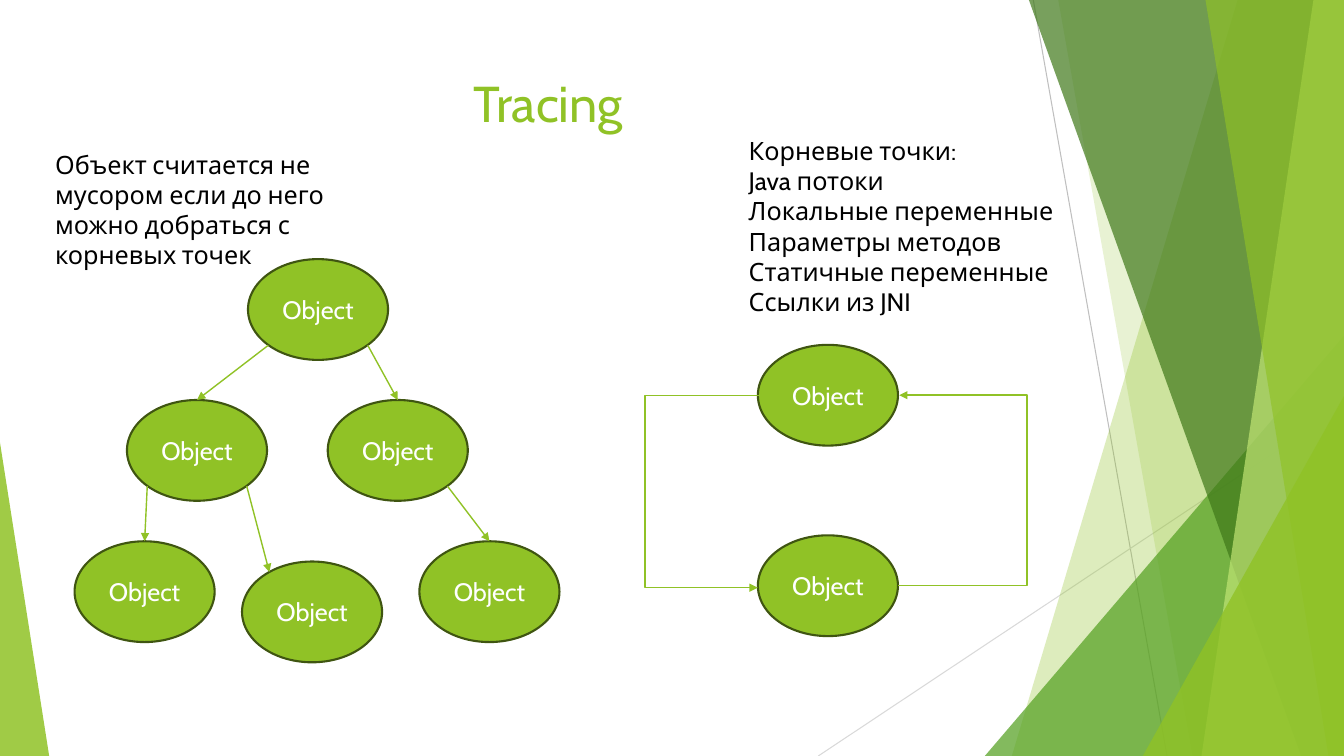
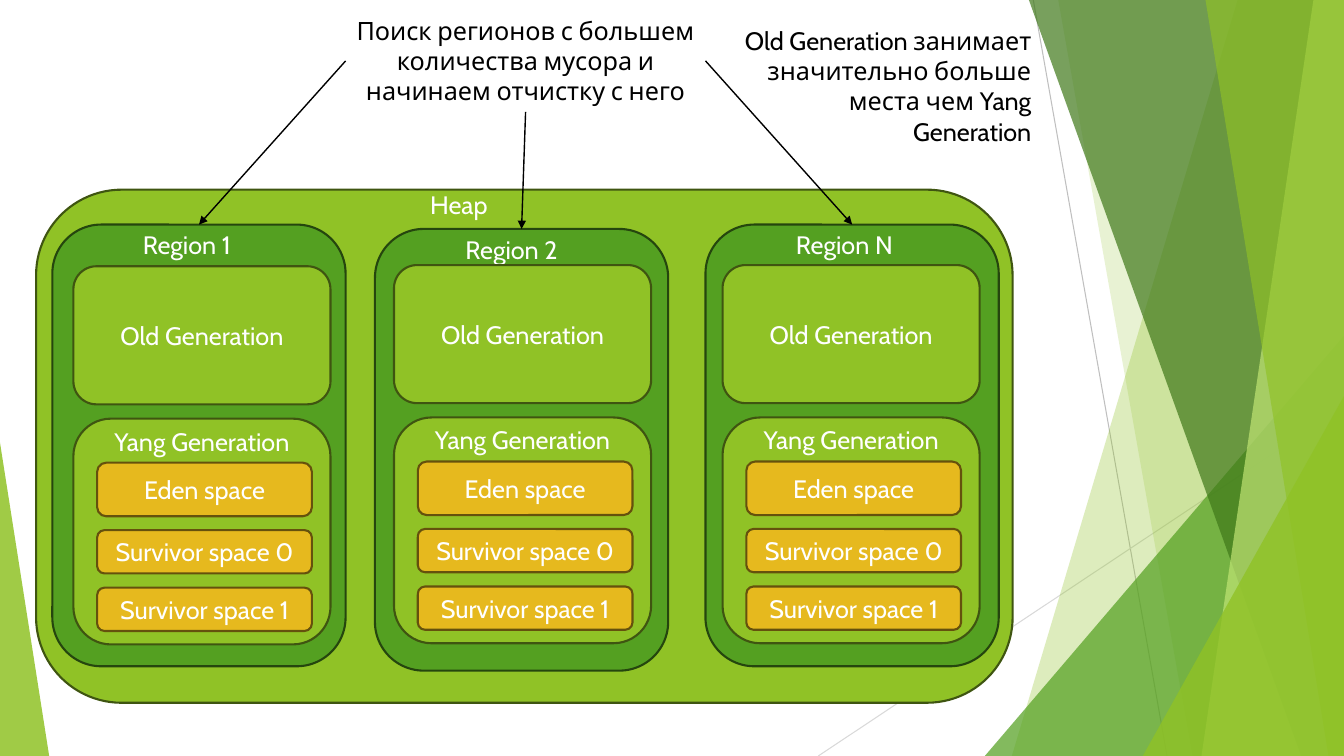
from lxml.etree import SubElement
from pptx import Presentation
from pptx.dml.color import RGBColor
from pptx.enum.shapes import MSO_CONNECTOR, MSO_SHAPE
from pptx.enum.text import PP_ALIGN
from pptx.oxml.ns import qn
from pptx.util import Cm, Pt

# Shared look, lengths in centimetres
WIDTH, HEIGHT = 33.87, 19.05
FONT = "Cabin"
LIME, GREEN, GOLD = "90C226", "54A021", "E6B91E"
BLACK, WHITE = "000000", "FFFFFF"
OUTLINE = {LIME: "3F5511", GREEN: "25460E", GOLD: "65510D"}

HAIRLINES = [
    ((26.04, 0), (29.41, HEIGHT), "BFBFBF"),
    ((WIDTH, 10.24), (20.62, HEIGHT), "D9D9D9"),
]
# ("band", x at top, x at bottom) reaches the right edge;
# ("corner", left, top, width, apex) stands on the bottom edge
DECOR = [
    (("band", 31.19, 25.5), LIME, 30),
    (("band", 26.67, 30.05), LIME, 20),
    (("corner", 24.82, 8.46, 9.05, 1), GREEN, 72),
    (("band", 25.93, 32.79), "3F7819", 70),
    (("band", 33.1, 30.28), "C0E474", 70),
    (("band", 30.38, 33.48), LIME, 65),
    (("corner", 28.8, 9.98, 5.07, 1), LIME, 80),
    (("corner", 0, 11.15, 1.24, 0), LIME, 85),
]

# Slide 1: object graph
TITLE = "Tracing"
REACHABLE = ["Объект считается не мусором если до него можно добраться с корневых точек"]
ROOTS = [
    "Корневые точки:",
    "Java потоки",
    "Локальные переменные",
    "Параметры методов",
    "Статичные переменные",
    "Ссылки из JNI",
]
OVAL_W, OVAL_H = 3.53, 2.54
OBJECTS = {
    "root": (6.25, 6.53),
    "left": (3.2, 10.08),
    "right": (8.26, 10.08),
    "left leaf": (1.88, 13.64),
    "middle leaf": (6.1, 14.15),
    "right leaf": (10.57, 13.64),
    "cycle top": (19.1, 8.69),
    "cycle bottom": (19.1, 13.49),
}
# Points on an oval, as shares of its half width and half height
LOWER_LEFT, LOWER_RIGHT, TOP, UPPER_LEFT = (-0.71, 0.71), (0.71, 0.71), (0, -1), (-0.61, -0.79)
REFERENCES = [
    ("root", LOWER_LEFT, "left", TOP),
    ("root", LOWER_RIGHT, "right", TOP),
    ("left", LOWER_LEFT, "left leaf", TOP),
    ("left", LOWER_RIGHT, "middle leaf", UPPER_LEFT),
    ("right", LOWER_RIGHT, "right leaf", TOP),
]
# Start, end, x of the vertical run
CYCLE = [
    ((19.13, 9.96), (19.1, 14.81), 16.26),
    ((22.63, 14.76), (22.66, 9.96), 25.88),
]

# Slide 2: heap regions
SEARCH = ["Поиск регионов с большем количества мусора и начинаем отчистку с него"]
OLD_SIZE = ["Old Generation занимает значительно больше места чем Yang Generation"]
REGION_W, REGION_H, INNER_W = 7.39, 11.13, 6.48
# Name, left, top, left and top of the generations, side of the note its arrow leaves
REGIONS = [
    ("Region 1", 1.32, 5.66, 1.85, 6.71, 1),
    ("Region 2", 9.45, 5.77, 9.93, 6.68, 2),
    ("Region N", 17.78, 5.66, 18.21, 6.68, 3),
]
# Name, offset from the top of the generations, height
SPACES = [
    ("Eden space", 4.95, 1.35),
    ("Survivor space 0", 6.65, 1.09),
    ("Survivor space 1", 8.1, 1.09),
]
SPACE_X, SPACE_W = 0.6, 5.41


def rgb(color):
    return RGBColor.from_string(color)


def write(tf, lines, color, size=18, align=PP_ALIGN.LEFT):
    tf.word_wrap = True
    tf.text = "\n".join(lines)
    for p in tf.paragraphs:
        p.alignment = align
        for r in p.runs:
            r.font.name, r.font.size = FONT, Pt(size)
            r.font.color.rgb = rgb(color)


def add_text(s, box, lines, color=BLACK, size=18, align=PP_ALIGN.LEFT):
    sp = s.shapes.add_textbox(*map(Cm, box))
    write(sp.text_frame, lines, color, size, align)
    return sp


def add_block(s, kind, box, fill, text=""):
    sp = s.shapes.add_shape(kind, *map(Cm, box))
    sp.shadow.inherit = False
    sp.fill.solid()
    sp.fill.fore_color.rgb = rgb(fill)
    sp.line.color.rgb = rgb(OUTLINE[fill])
    sp.line.width = Pt(1.5)
    if text:
        write(sp.text_frame, [text], WHITE, align=PP_ALIGN.CENTER)
    return sp


def add_line(s, start, end, color, width=1, arrow=True, kind=MSO_CONNECTOR.STRAIGHT):
    line = s.shapes.add_connector(kind, *map(Cm, (*start, *end)))
    line.line.color.rgb = rgb(color)
    line.line.width = Pt(width)
    spPr = line.element.spPr
    if arrow:
        SubElement(spPr.find(qn("a:ln")), qn("a:tailEnd"), type="triangle")
    SubElement(spPr, qn("a:effectLst"))
    return line


def add_elbow(s, start, end, via_x):
    line = add_line(s, start, end, LIME, kind=MSO_CONNECTOR.ELBOW)
    bend = round((via_x - start[0]) / (end[0] - start[0]) * 100000)
    guides = line.element.spPr.find(qn("a:prstGeom")).find(qn("a:avLst"))
    SubElement(guides, qn("a:gd"), name="adj1", fmla=f"val {bend}")


def add_decor(s, outline, color, opacity):
    kind, *place = outline
    if kind == "band":
        top_x, bottom_x = place
        builder = s.shapes.build_freeform(Cm(top_x), 0)
        corners = [(WIDTH, 0), (WIDTH, HEIGHT), (bottom_x, HEIGHT)]
        builder.add_line_segments([(Cm(x), Cm(y)) for x, y in corners])
        sp = builder.convert_to_shape()
    else:
        left, top, width, apex = place
        box = (left, top, width, HEIGHT - top)
        sp = s.shapes.add_shape(MSO_SHAPE.ISOSCELES_TRIANGLE, *map(Cm, box))
        sp.adjustments[0] = apex
    sp.shadow.inherit = False
    sp.line.fill.background()
    sp.fill.solid()
    sp.fill.fore_color.rgb = rgb(color)
    fill_color = sp.element.spPr.find(qn("a:solidFill"))[0]
    SubElement(fill_color, qn("a:alpha"), val=str(opacity * 1000))


def new_slide(prs):
    s = prs.slides.add_slide(prs.slide_layouts[6])
    for start, end, color in HAIRLINES:
        add_line(s, start, end, color, 0.75, arrow=False)
    for item in DECOR:
        add_decor(s, *item)
    return s


def oval_point(name, side):
    left, top = OBJECTS[name]
    return left + OVAL_W / 2 * (1 + side[0]), top + OVAL_H / 2 * (1 + side[1])


def tracing_slide(prs):
    s = new_slide(prs)
    add_text(s, (1.88, 1.7, 23.88, 1.8), [TITLE], LIME, 36, PP_ALIGN.CENTER)
    ovals = {
        name: add_block(s, MSO_SHAPE.OVAL, (*corner, OVAL_W, OVAL_H), LIME, "Object")
        for name, corner in OBJECTS.items()
    }
    for parent, start, child, end in REFERENCES:
        line = add_line(s, oval_point(parent, start), oval_point(child, end), LIME)
        if end == TOP:
            line.end_connect(ovals[child], 0)
    for route in CYCLE:
        add_elbow(s, *route)
    add_text(s, (1.14, 3.63, 7.9, 3.33), REACHABLE)
    add_text(s, (18.62, 3.28, 9.25, 4.88), ROOTS)


def heap_slide(prs):
    s = new_slide(prs)
    rounded = MSO_SHAPE.ROUNDED_RECTANGLE
    add_block(s, rounded, (0.91, 4.78, 24.61, 12.93), LIME)
    add_text(s, (10.59, 4.65, 2.34, 1.02), ["Heap"], WHITE)
    note = add_text(s, (8.71, 0.25, 9.07, 2.57), SEARCH, align=PP_ALIGN.CENTER)
    add_text(s, (18.42, 0.51, 7.82, 3.33), OLD_SIZE, align=PP_ALIGN.RIGHT)
    for name, left, top, x, y, side in REGIONS:
        region = add_block(s, rounded, (left, top, REGION_W, REGION_H), GREEN)
        add_text(s, (left + 2.03, top, 3.3, 1.02), [name], WHITE)
        # Generations
        add_block(s, rounded, (x, y, INNER_W, 3.48), LIME, "Old Generation")
        add_block(s, rounded, (x, y + 3.84, INNER_W, 5.69), LIME)
        add_text(s, (x, y + 3.9, INNER_W, 1.02), ["Yang Generation"], WHITE,
                 align=PP_ALIGN.CENTER)
        for space, dy, height in SPACES:
            add_block(s, rounded, (x + SPACE_X, y + dy, SPACE_W, height), GOLD, space)
        # Arrow from the note
        arrow = add_line(s, (0, 0), (left, top), BLACK)
        arrow.begin_connect(note, side)
        arrow.end_connect(region, 0)


def main():
    prs = Presentation()
    prs.slide_width, prs.slide_height = Cm(WIDTH), Cm(HEIGHT)
    tracing_slide(prs)
    heap_slide(prs)
    prs.save("out.pptx")


if __name__ == "__main__":
    main()
